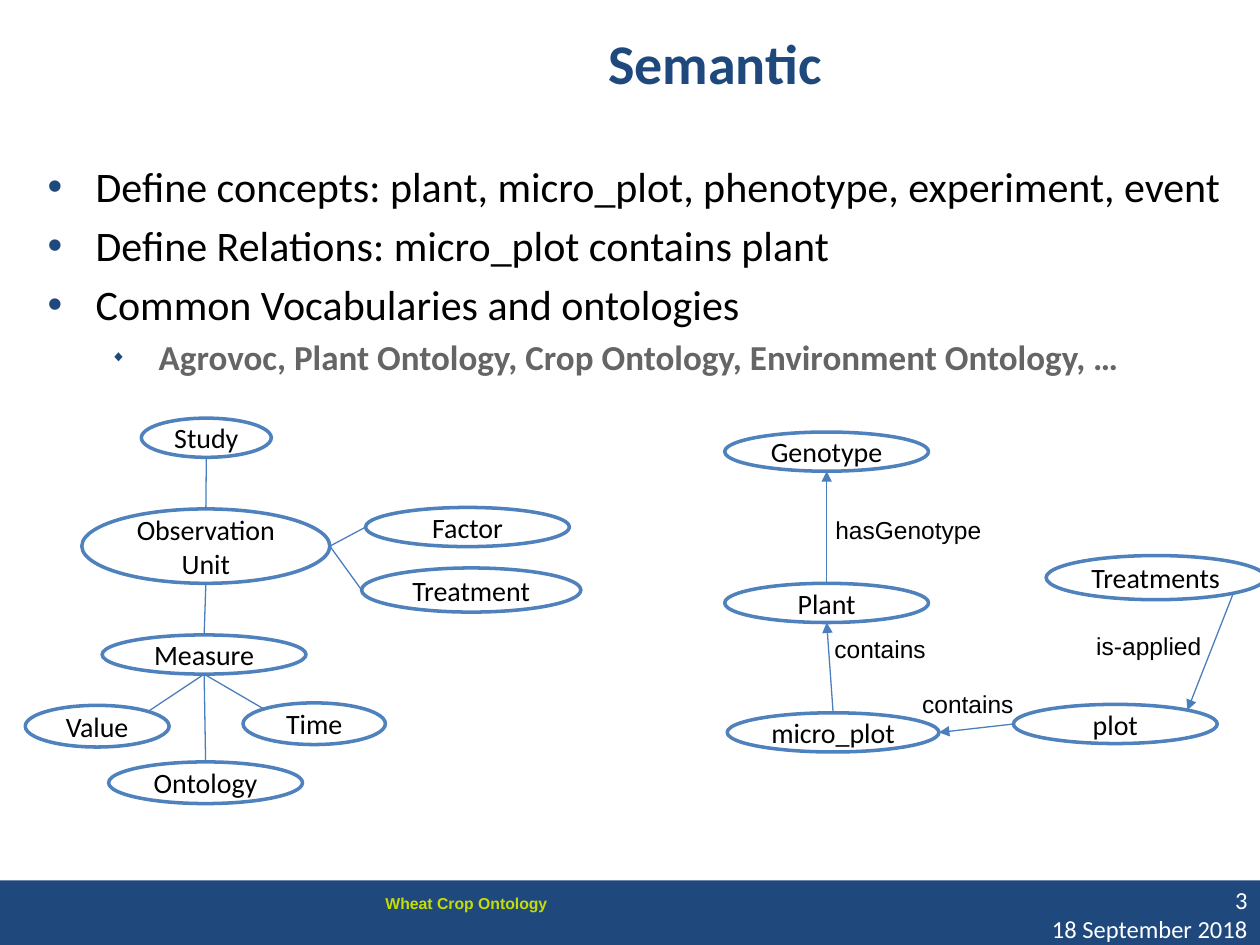
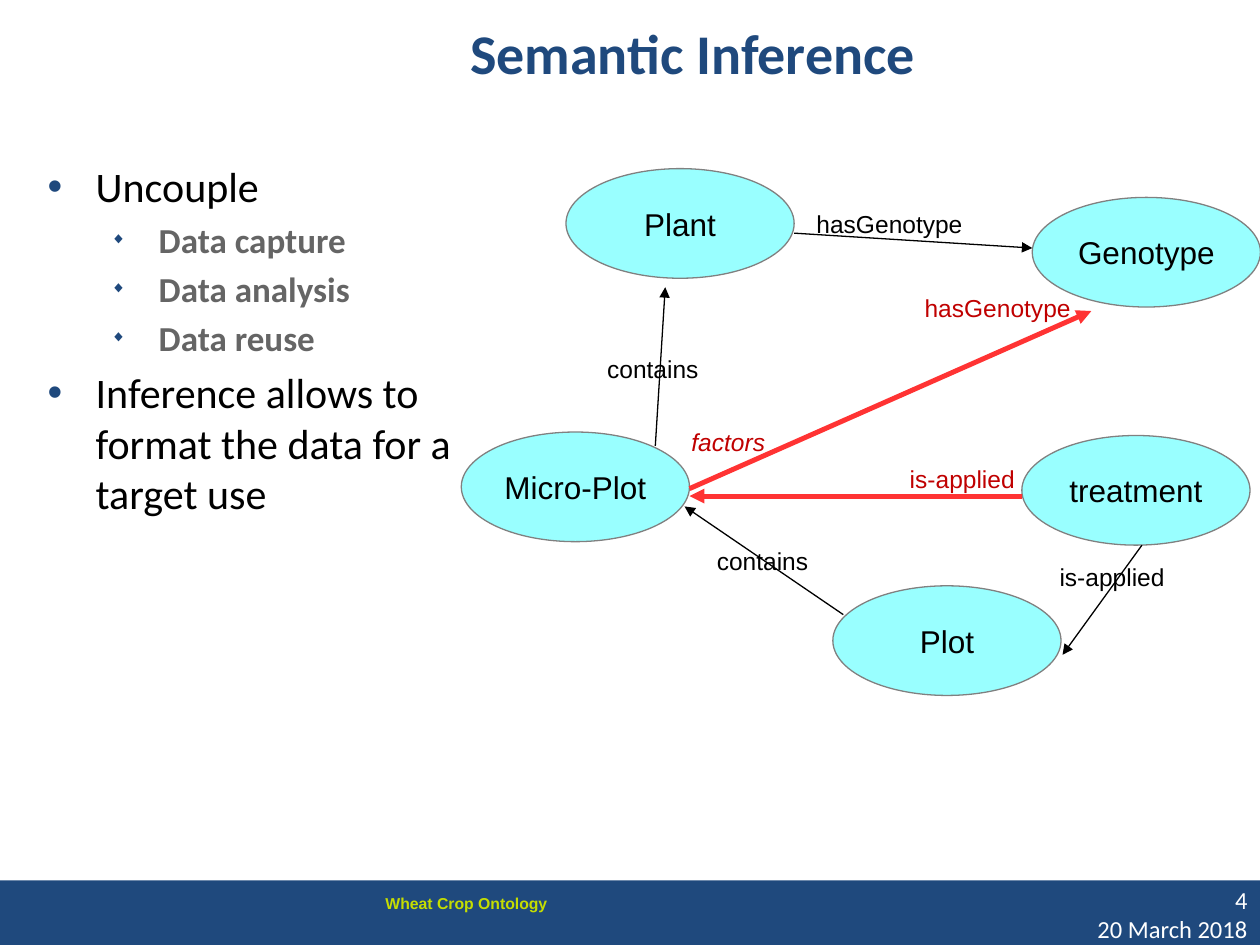
import dataclasses
import math

import lxml.etree
import pptx
import pptx.dml.color
import pptx.enum.shapes
import pptx.enum.text
import pptx.oxml.ns
import pptx.util

Cm = pptx.util.Cm
Pt = pptx.util.Pt
qn = pptx.oxml.ns.qn
SHAPE = pptx.enum.shapes.MSO_SHAPE
ALIGN = pptx.enum.text.PP_ALIGN
ANCHOR = pptx.enum.text.MSO_ANCHOR


@dataclasses.dataclass(frozen=True)
class Theme:
    sans: str = "Calibri"
    plain: str = "Arial"
    navy: str = "1F497D"
    lime: str = "C5DD01"
    white: str = "FFFFFF"
    black: str = "000000"
    gray: str = "656565"
    blue: str = "4F81BD"
    link: str = "4B7EBC"
    cyan: str = "99FFFF"
    rim: str = "808080"
    red: str = "FF3333"
    dark: str = "C00000"
    title: int = 32
    body: int = 24
    sub: int = 20
    big: int = 18
    node: int = 16
    label: int = 14
    foot: int = 9


THEME = Theme()
SITES = ["top", "top left", "left", "low left", "low", "low right", "right", "top right"]
WIDTHS = {"contains": 2.87, "hasGenotype": 4.27, "is-applied": 3.2, "factors": 2.82}


def color(code):
    return pptx.dml.color.RGBColor.from_string(code)


def style(para, size, tint, face=THEME.sans, bold=False, slant=False):
    for run in para.runs:
        font = run.font
        font.name, font.size = face, Pt(size)
        font.bold, font.italic = bold, slant
        font.color.rgb = color(tint)


def write(slide, box, text, size, tint, face=THEME.sans, align=ALIGN.LEFT, **looks):
    frame = slide.shapes.add_textbox(*map(Cm, box)).text_frame
    frame.word_wrap = True
    frame.text = text
    frame.paragraphs[0].alignment = align
    style(frame.paragraphs[0], size, tint, face, **looks)


def paint(slide, kind, box, fill):
    shape = slide.shapes.add_shape(kind, *map(Cm, box))
    shape.shadow.inherit = False
    shape.fill.solid()
    shape.fill.fore_color.rgb = color(fill)
    shape.line.fill.background()
    return shape


def oval(slide, box, text, fill, rim, width, size, face, wrap):
    shape = paint(slide, SHAPE.OVAL, box, fill)
    shape.line.color.rgb = color(rim)
    shape.line.width = Pt(width)
    frame = shape.text_frame
    frame.margin_left = frame.margin_right = 0
    frame.margin_top = frame.margin_bottom = 0
    frame.word_wrap = wrap
    frame.vertical_anchor = ANCHOR.MIDDLE
    frame.text = text
    frame.paragraphs[0].alignment = ALIGN.CENTER
    style(frame.paragraphs[0], size, THEME.black, face)
    return shape


def draw(slide, start, end, tint, width=0.75, arrow=True):
    line = slide.shapes.add_connector(
        pptx.enum.shapes.MSO_CONNECTOR.STRAIGHT, *start, *end)
    line.line.color.rgb = color(tint)
    line.line.width = Pt(width)
    props = line.element.spPr
    if arrow:
        lxml.etree.SubElement(props.find(qn("a:ln")), qn("a:tailEnd"), type="triangle")
    lxml.etree.SubElement(props, qn("a:effectLst"))
    return line


def site(shape, side):
    angle = math.radians(90 + 45 * SITES.index(side))
    across = shape.width / 2 * (1 + math.cos(angle))
    down = shape.height / 2 * (1 - math.sin(angle))
    return round(shape.left + across), round(shape.top + down)


def join(slide, first, side, last, other, arrow):
    line = draw(slide, site(first, side), site(last, other), THEME.link, arrow=arrow)
    hold = line.element.find(".//" + qn("p:cNvCxnSpPr"))
    for tag, shape, spot in (("a:stCxn", first, side), ("a:endCxn", last, other)):
        lxml.etree.SubElement(hold, qn(tag), id=str(shape.shape_id),
                              idx=str(SITES.index(spot)))


def bullet(para, deep):
    props = para._p.get_or_add_pPr()
    props.set("marL", str(Cm(2.24 if deep else 0.97)))
    props.set("indent", str(Cm(-0.97)))
    tint = lxml.etree.SubElement(props, qn("a:buClr"))
    lxml.etree.SubElement(tint, qn("a:srgbClr"), val=THEME.navy)
    if deep:
        lxml.etree.SubElement(props, qn("a:buSzPct"), val="45000")
    lxml.etree.SubElement(props, qn("a:buFont"), typeface=THEME.plain)
    lxml.etree.SubElement(props, qn("a:buChar"), char="◆" if deep else "•")


def points(slide, box, items):
    frame = slide.shapes.add_textbox(*map(Cm, box)).text_frame
    frame.word_wrap = True
    for pos, (deep, text) in enumerate(items):
        para = frame.add_paragraph() if pos else frame.paragraphs[0]
        para.text = text
        bullet(para, deep)
        size = THEME.sub if deep else THEME.body
        if pos:
            para.space_before = Pt(size * 0.2)
        style(para, size, THEME.gray if deep else THEME.black, bold=deep)


def footer(slide, box, date, number):
    left, top, width, height = box
    paint(slide, SHAPE.RECTANGLE, box, THEME.navy)
    write(slide, (left + 7.52, top + 0.15, 12.5, 0.64), "Wheat Crop Ontology",
          THEME.foot, THEME.lime, THEME.plain, bold=True)
    for text, drop in ((number, -0.03), (date, 0.56)):
        write(slide, (left + width - 5.92, top + drop, 5.92, 0.7), text,
              THEME.label, THEME.white, align=ALIGN.RIGHT)


def page(deck, title, box, date, number):
    slide = deck.slides.add_slide(deck.slide_layouts[5])
    footer(slide, (0, 17.75, 25.4, 1.35), date, number)
    head = slide.shapes.title
    head.left, head.top, head.width, head.height = map(Cm, box)
    frame = head.text_frame
    frame.text = title
    frame.vertical_anchor = ANCHOR.MIDDLE
    frame.paragraphs[0].alignment = ALIGN.CENTER
    style(frame.paragraphs[0], THEME.title, THEME.navy, bold=True)
    return slide


def label(slide, spot, text, tint=THEME.black, slant=False):
    write(slide, (*spot, WIDTHS[text], 0.97), text, THEME.label, tint,
          THEME.plain, slant=slant)


def graph(slide, spot, nodes, links, arrow, labels=()):
    left, top = spot
    made = {}
    for text, (x, y, width, height) in nodes.items():
        made[text] = oval(slide, (left + x, top + y, width, height), text, THEME.white,
                          THEME.blue, 2, THEME.node, THEME.sans, True)
    for first, side, last, other in links:
        join(slide, made[first], side, made[last], other, arrow)
    for text, x, y in labels:
        label(slide, (left + x, top + y), text)


def study(slide, spot):
    nodes = {
        "Study": (2.34, 0, 2.62, 0.79),
        "Observation Unit": (1.14, 1.83, 5, 1.5),
        "Measure": (1.55, 4.37, 4.11, 0.79),
        "Value": (0, 5.79, 2.9, 0.84),
        "Ontology": (1.68, 6.93, 3.91, 0.84),
        "Time": (4.39, 5.74, 2.87, 0.84),
        "Treatment": (6.78, 3.02, 4.42, 0.89),
        "Factor": (6.86, 1.8, 4.11, 0.79),
    }
    links = [
        ("Study", "low", "Observation Unit", "top"),
        ("Observation Unit", "low", "Measure", "top"),
        ("Measure", "low", "Ontology", "top"),
        ("Value", "top right", "Measure", "low"),
        ("Measure", "low", "Time", "top left"),
        ("Observation Unit", "right", "Treatment", "left"),
        ("Observation Unit", "right", "Factor", "left"),
    ]
    graph(slide, spot, nodes, links, False)


def field(slide, spot):
    nodes = {
        "Genotype": (0, 0, 4.11, 0.79),
        "Plant": (0, 3.05, 4.11, 0.79),
        "micro_plot": (0.05, 5.66, 4.27, 0.79),
        "plot": (5.82, 5.49, 4.11, 0.79),
        "Treatments": (6.48, 2.49, 4.42, 0.89),
    }
    links = [
        ("Treatments", "low right", "plot", "top right"),
        ("plot", "left", "micro_plot", "right"),
        ("micro_plot", "top", "Plant", "low"),
        ("Plant", "top", "Genotype", "low"),
    ]
    labels = [
        ("contains", 3.73, 5.05),
        ("contains", 1.96, 3.94),
        ("hasGenotype", 1.98, 1.55),
        ("is-applied", 7.24, 3.89),
    ]
    graph(slide, spot, nodes, links, True, labels)


def infer(slide, spot):
    left, top = spot
    nodes = [
        ("Micro-Plot", 0, 5.31),
        ("Plot", 7.49, 8.41),
        ("Plant", 2.11, 0),
        ("Genotype", 11.51, 0.58),
        ("treatment", 11.3, 5.38),
    ]
    known = [
        (7.7, 8.99, 4.5, 6.81),
        (3.91, 5.59, 4.11, 2.39),
        (6.71, 1.3, 11.51, 1.6),
        (13.72, 7.59, 12.12, 9.8),
    ]
    fresh = [(4.6, 6.45, 12.7, 2.87), (11.3, 6.6, 4.6, 6.6)]
    labels = [
        ("contains", 4.9, 7.49, THEME.black),
        ("contains", 2.69, 3.61, THEME.black),
        ("hasGenotype", 9.09, 2.39, THEME.dark),
        ("hasGenotype", 6.91, 0.69, THEME.black),
        ("is-applied", 11.81, 7.8, THEME.black),
        ("is-applied", 8.79, 5.82, THEME.dark),
        ("factors", 4.39, 5.08, THEME.dark),
    ]
    for text, x, y in nodes:
        oval(slide, (left + x, top + y, 4.6, 2.21), text, THEME.cyan, THEME.rim,
             0.75, THEME.big, THEME.plain, False)
    for group, tint, width in ((known, THEME.black, 0.75), (fresh, THEME.red, 2.83)):
        for x, y, far, low in group:
            draw(slide, (Cm(left + x), Cm(top + y)), (Cm(left + far), Cm(top + low)),
                 tint, width)
    for text, x, y, tint in labels:
        label(slide, (left + x, top + y), text, tint, text == "factors")


def main():
    deck = pptx.Presentation()
    deck.slide_width, deck.slide_height = Cm(25.4), Cm(19.05)

    slide = page(deck, "Semantic", (4.7, 0, 19.43, 2.51), "18 September 2018", "3")
    points(slide, (0.71, 3.12, 24.21, 13.89), [
        (False, "Define concepts: plant, micro_plot, phenotype, experiment, event"),
        (False, "Define Relations: micro_plot contains plant"),
        (False, "Common Vocabularies and ontologies"),
        (True, "Agrovoc, Plant Ontology, Crop Ontology, Environment Ontology, …"),
    ])
    study(slide, (0.51, 8.43))
    field(slide, (14.61, 8.71))

    slide = page(deck, "Semantic Inference", (3.81, 0, 20.32, 2.11), "20 March 2018", "4")
    points(slide, (0.71, 3.12, 9.19, 13.89), [
        (False, "Uncouple"),
        (True, "Data capture"),
        (True, "Data analysis"),
        (True, "Data reuse"),
        (False, "Inference allows to format the data for a target use"),
    ])
    infer(slide, (9.3, 3.4))
    deck.save("out.pptx")


if __name__ == "__main__":
    main()
